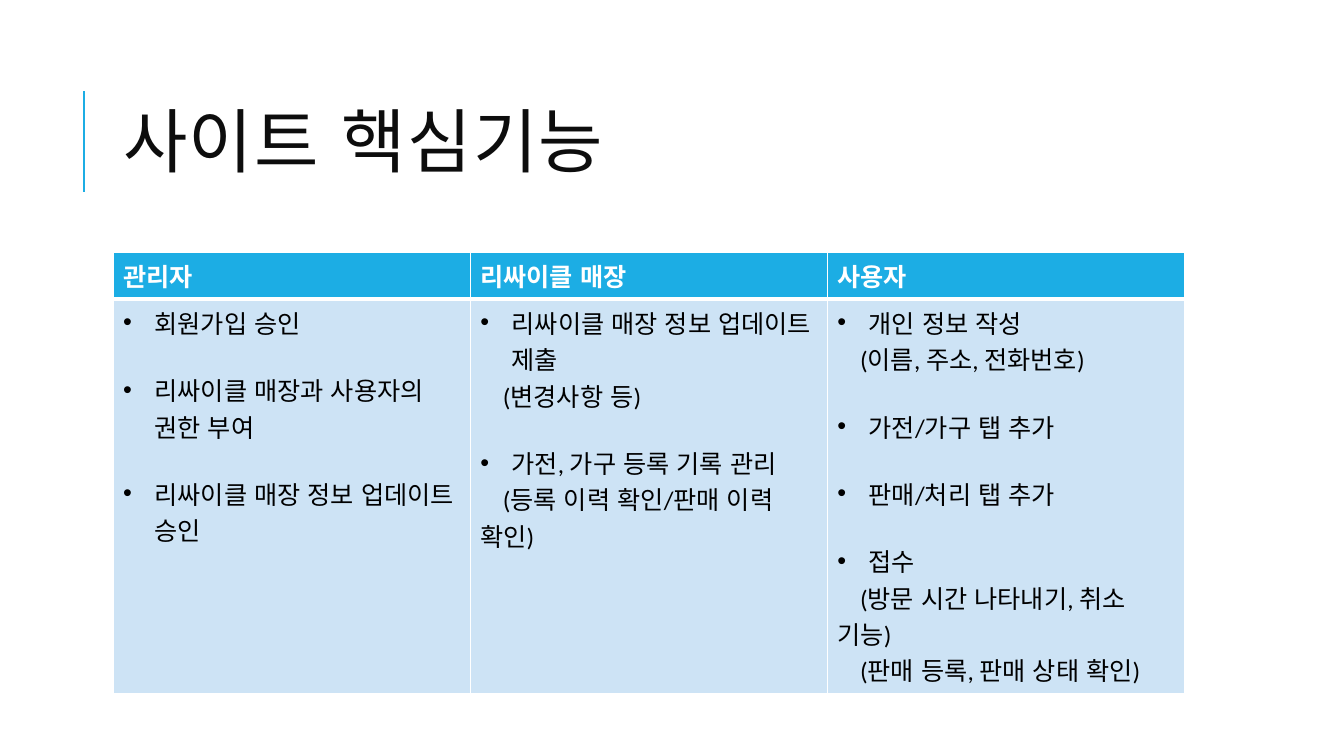
from dataclasses import dataclass

from lxml import etree
from pptx import Presentation
from pptx.dml.color import RGBColor
from pptx.enum.lang import MSO_LANGUAGE_ID
from pptx.enum.shapes import MSO_CONNECTOR
from pptx.enum.text import MSO_ANCHOR, MSO_AUTO_SIZE, PP_ALIGN
from pptx.oxml.ns import qn
from pptx.util import Cm, Pt

STRAIGHT = MSO_CONNECTOR.STRAIGHT
MIDDLE = MSO_ANCHOR.MIDDLE
NO_FIT = MSO_AUTO_SIZE.NONE
LEFT = PP_ALIGN.LEFT
KOREAN = MSO_LANGUAGE_ID.KOREAN
TITLE_ONLY = 5


@dataclass(frozen=True)
class Theme:
    accent: RGBColor = RGBColor(0x1C, 0xAD, 0xE4)
    pale: RGBColor = RGBColor(0xCD, 0xE3, 0xF5)
    white: RGBColor = RGBColor(0xFF, 0xFF, 0xFF)
    black: RGBColor = RGBColor(0, 0, 0)
    ink: RGBColor = RGBColor(0x0D, 0x0D, 0x0D)
    latin: str = "Calibri"
    korean: str = "Noto Sans CJK KR"
    title_size: Pt = Pt(50)
    text_size: Pt = Pt(18)
    group_gap: Pt = Pt(22)
    thin: Pt = Pt(1)
    thick: Pt = Pt(3)


THEME = Theme()

FEATURES = {
    "관리자": [
        ("회원가입 승인", []),
        ("리싸이클 매장과 사용자의 권한 부여", []),
        ("리싸이클 매장 정보 업데이트 승인", []),
    ],
    "리싸이클 매장": [
        ("리싸이클 매장 정보 업데이트 제출", ["(변경사항 등)"]),
        ("가전, 가구 등록 기록 관리", ["(등록 이력 확인/판매 이력 확인)"]),
    ],
    "사용자": [
        ("개인 정보 작성", ["(이름, 주소, 전화번호)"]),
        ("가전/가구 탭 추가", []),
        ("판매/처리 탭 추가", []),
        ("접수", ["(방문 시간 나타내기, 취소 기능)", "(판매 등록, 판매 상태 확인)"]),
    ],
}


def apply_format(target, values):
    for name, value in values.items():
        setattr(target, name, value)


def write_span(para, text, color, **font_values):
    span = para.add_run()
    span.text = text
    values = {"size": THEME.text_size, "name": THEME.latin, "bold": False,
              "language_id": KOREAN}
    apply_format(span.font, values | font_values)
    span.font.color.rgb = color
    properties = span._r.get_or_add_rPr()
    etree.SubElement(properties, qn("a:ea"), typeface=THEME.korean)
    return properties


def indent(para, margin, first_line):
    properties = para._p.get_or_add_pPr()
    properties.set("marL", str(margin))
    properties.set("indent", str(first_line))
    return properties


def add_bullet(para):
    properties = indent(para, Cm(0.79), -Cm(0.79))
    etree.SubElement(properties, qn("a:buFont"), typeface="Arial")
    etree.SubElement(properties, qn("a:buChar"), char="•")


def style_cell(cell, fill, bottom):
    properties = cell._tc.get_or_add_tcPr()
    widths = {"lnL": THEME.thin, "lnR": THEME.thin, "lnT": THEME.thin, "lnB": bottom}
    for side, width in widths.items():
        border = etree.SubElement(properties, qn(f"a:{side}"), w=str(width))
        paint = etree.SubElement(border, qn("a:solidFill"))
        etree.SubElement(paint, qn("a:srgbClr"), val=str(THEME.white))
    cell.fill.solid()
    cell.fill.fore_color.rgb = fill


def fill_features(cell, groups):
    lines = []
    for number, (feature, details) in enumerate(groups):
        lines.append((feature, True, THEME.group_gap if number else Pt(0)))
        lines += [(detail, False, Pt(0)) for detail in details]
    frame = cell.text_frame
    for number, (text, bulleted, gap) in enumerate(lines):
        para = frame.add_paragraph() if number else frame.paragraphs[0]
        para.space_before = gap
        if bulleted:
            add_bullet(para)
        else:
            indent(para, 0, Cm(0.57))
        write_span(para, text, THEME.black)


def build_title(page, left, top, width, height):
    title = page.shapes.title
    apply_format(title, {"left": left, "top": top, "width": width, "height": height})
    apply_format(title.text_frame, {"word_wrap": True, "auto_size": NO_FIT,
                                    "vertical_anchor": MIDDLE})
    para = title.text_frame.paragraphs[0]
    apply_format(para, {"alignment": LEFT, "line_spacing": 0.8})
    properties = write_span(para, "사이트 핵심기능", THEME.ink,
                            size=THEME.title_size, name=THEME.korean)
    properties.set("spc", "100")

    rule_left = left - Cm(0.73)
    rule_top = top + Cm(0.67)
    rule = page.shapes.add_connector(STRAIGHT, rule_left, rule_top + Cm(2.54),
                                     rule_left, rule_top)
    rule.line.color.rgb = THEME.accent
    rule.line.width = Pt(1.5)
    etree.SubElement(rule._element.spPr, qn("a:effectLst"))


def build_table(page, left, top, width, height):
    header_height = Cm(1.13)
    table = page.shapes.add_table(2, len(FEATURES), left, top, width, height).table
    table.rows[0].height = header_height
    table.rows[1].height = height - header_height
    for column, (role, groups) in enumerate(FEATURES.items()):
        header, body = table.cell(0, column), table.cell(1, column)
        style_cell(header, THEME.accent, THEME.thick)
        write_span(header.text_frame.paragraphs[0], role, THEME.white, bold=True)
        style_cell(body, THEME.pale, THEME.thin)
        fill_features(body, groups)


def main():
    deck = Presentation()
    apply_format(deck, {"slide_width": Cm(33.87), "slide_height": Cm(19.05)})
    page = deck.slides.add_slide(deck.slide_layouts[TITLE_ONLY])
    left, width = Cm(2.85), Cm(27)
    build_title(page, left, Cm(1.62), width, Cm(4.17))
    build_table(page, left, Cm(6.36), width, Cm(11.06))
    deck.save("out.pptx")


if __name__ == "__main__":
    main()
